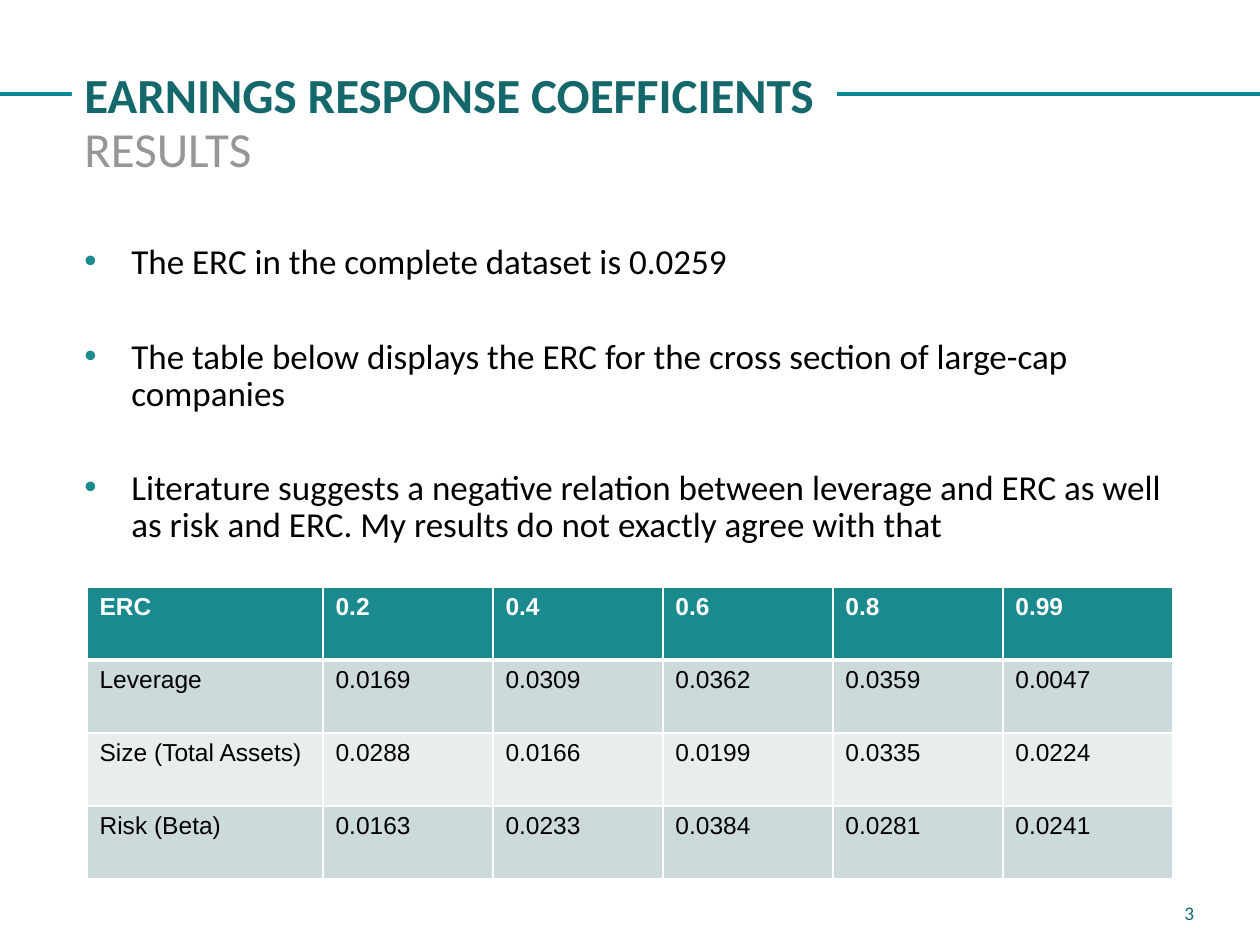
from lxml.etree import SubElement
from pptx import Presentation
from pptx.dml.color import RGBColor
from pptx.enum.shapes import MSO_CONNECTOR
from pptx.enum.text import MSO_ANCHOR, MSO_AUTO_SIZE
from pptx.oxml.ns import qn
from pptx.util import Pt

TEAL, DARK, GRAY = "1B8A8F", "14676B", "969696"
WHITE, BLACK = "FFFFFF", "000000"
BANDS = ("CDDADB", "E8EDEE")
POINTS = (
    "The ERC in the complete dataset is 0.0259",
    "The table below displays the ERC for the cross section of large-cap companies",
    "Literature suggests a negative relation between leverage and ERC as well "
    "as risk and ERC. My results do not exactly agree with that",
)
ROWS = (
    ("ERC", "0.2", "0.4", "0.6", "0.8", "0.99"),
    ("Leverage", "0.0169", "0.0309", "0.0362", "0.0359", "0.0047"),
    ("Size (Total Assets)", "0.0288", "0.0166", "0.0199", "0.0335", "0.0224"),
    ("Risk (Beta)", "0.0163", "0.0233", "0.0384", "0.0281", "0.0241"),
)


def px(count):
    """Turn pixels into EMU."""
    return round(count * 914400 / 126)


def color(code):
    """Turn a hex string into a colour."""
    return RGBColor.from_string(code)


def style(para, size, code, name="Calibri", bold=False):
    """Set the font of a paragraph."""
    font = para.font
    font.size, font.name, font.bold = Pt(size), name, bold
    font.color.rgb = color(code)


def add_rule(slide, y, width, code):
    """Draw the line across the slide."""
    rule = slide.shapes.add_connector(MSO_CONNECTOR.STRAIGHT, 0, px(y), px(width), px(y))
    rule.line.width = Pt(2.25)
    rule.line.color.rgb = color(code)
    SubElement(rule.element.spPr, qn("a:effectLst"))


def add_label(slide, box, text, size, code, bold=False):
    """Add one line of text."""
    label = slide.shapes.add_textbox(*map(px, box))
    frame = label.text_frame
    frame.word_wrap = False
    frame.text = text
    style(frame.paragraphs[0], size, code, bold=bold)
    return label


def add_title(slide, box, text):
    """Add the heading on white that breaks the rule."""
    title = add_label(slide, box, text, 28, DARK, True)
    title.fill.solid()
    title.fill.fore_color.rgb = color(WHITE)
    title.text_frame.vertical_anchor = MSO_ANCHOR.MIDDLE
    title.text_frame.auto_size = MSO_AUTO_SIZE.SHAPE_TO_FIT_TEXT


def add_bullet(para):
    """Give a paragraph a hanging teal bullet."""
    props = para._p.get_or_add_pPr()
    props.set("marL", str(px(47)))
    props.set("indent", str(-px(47)))
    tint = SubElement(props, qn("a:buClr"))
    SubElement(tint, qn("a:srgbClr"), val=TEAL)
    SubElement(props, qn("a:buFont"), typeface="Arial")
    SubElement(props, qn("a:buChar"), char="•")


def add_list(slide, box, points):
    """Add the bulleted points."""
    frame = slide.shapes.add_textbox(*map(px, box)).text_frame
    frame.word_wrap = True
    frame.text = "\n".join(points)
    for para in frame.paragraphs:
        para.line_spacing, para.space_after = Pt(21), Pt(33)
        style(para, 20, BLACK)
        add_bullet(para)


def add_edges(cell, top, bottom):
    """Draw white cell borders of the given weights."""
    props = cell._tc.get_or_add_tcPr()
    for side, width in zip("LRTB", (1, 1, top, bottom)):
        edge = SubElement(props, qn(f"a:ln{side}"), w=str(Pt(width)))
        fill = SubElement(edge, qn("a:solidFill"))
        SubElement(fill, qn("a:srgbClr"), val=WHITE)


def add_grid(slide, box, rows, widths):
    """Add the table with a dark header and banded rows."""
    grid = slide.shapes.add_table(len(rows), len(widths), *map(px, box)).table
    for col, width in zip(grid.columns, widths):
        col.width = px(width)
    for i, row in enumerate(rows):
        head = i == 0
        for j, text in enumerate(row):
            cell = grid.cell(i, j)
            cell.text = text
            add_edges(cell, 3 if i == 1 else 1, 3 if head else 1)
            cell.fill.solid()
            cell.fill.fore_color.rgb = color(TEAL if head else BANDS[(i - 1) % 2])
            style(cell.text_frame.paragraphs[0], 14, WHITE if head else BLACK, "Arial", head)


def main():
    """Build and save the slide."""
    deck = Presentation()
    deck.slide_width, deck.slide_height = px(1260), px(945)
    slide = deck.slides.add_slide(deck.slide_layouts[6])
    add_rule(slide, 94, 1260, "008990")
    add_list(slide, (72, 239, 1116, 654), POINTS)
    add_label(slide, (1172, 895, 88, 39), "3", 11, DARK)
    add_title(slide, (72, 58, 765, 72), "EARNINGS RESPONSE COEFFICIENTS")
    add_label(slide, (72, 112, 199, 72), "RESULTS", 28, GRAY)
    add_grid(slide, (87, 587, 1086, 292), ROWS, [236] + [170] * 5)
    deck.save("out.pptx")


if __name__ == "__main__":
    main()
